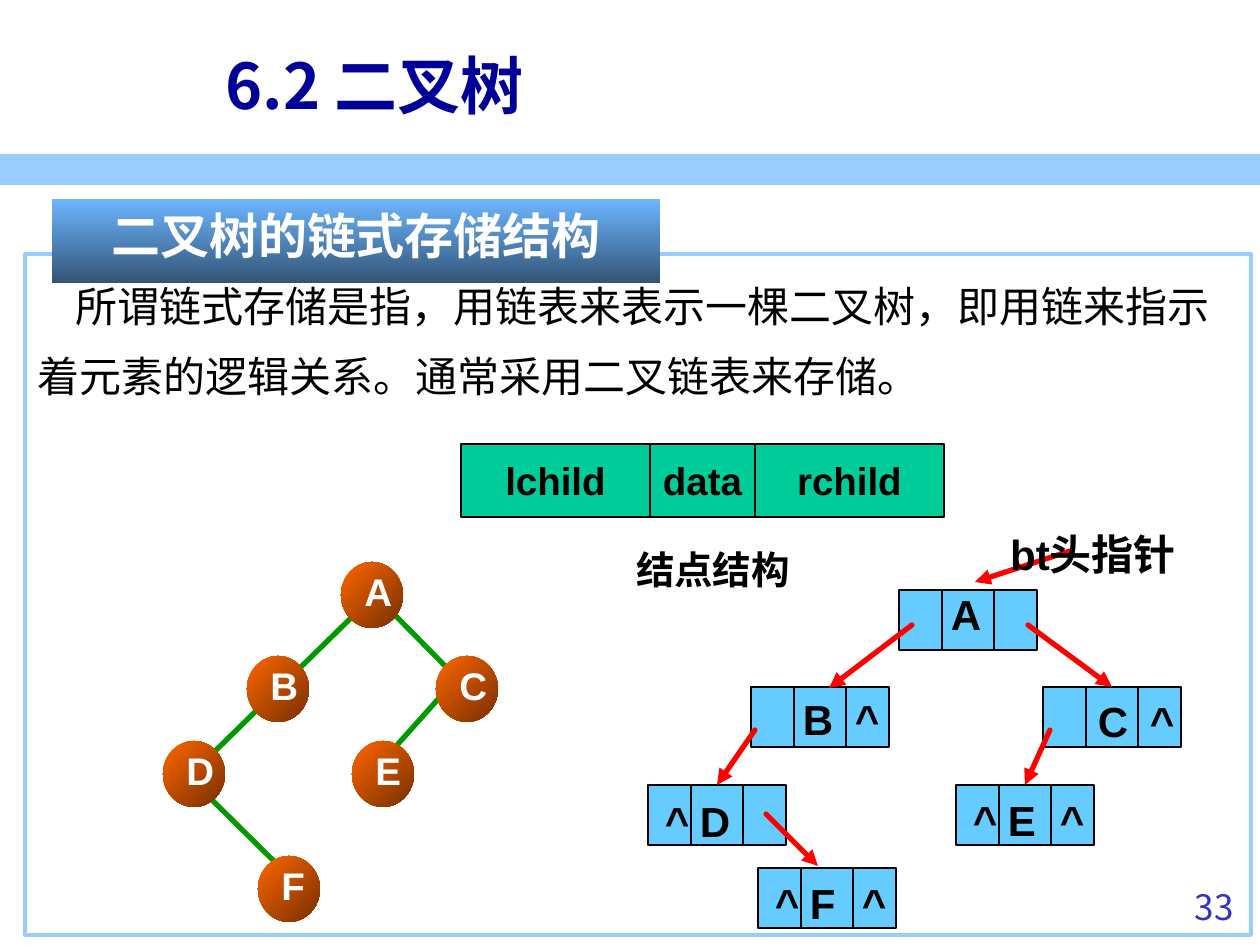
from dataclasses import dataclass

from lxml import etree
from pptx import Presentation
from pptx import util as u
from pptx.dml.color import RGBColor
from pptx.enum import shapes, text
from pptx.oxml import ns

LEFT, CENTER, RIGHT = text.PP_ALIGN.LEFT, text.PP_ALIGN.CENTER, text.PP_ALIGN.RIGHT
TOP, MIDDLE = text.MSO_ANCHOR.TOP, text.MSO_ANCHOR.MIDDLE
RECT, OVAL = shapes.MSO_SHAPE.RECTANGLE, shapes.MSO_SHAPE.OVAL


@dataclass(frozen=True)
class Theme:
    """Colours, fonts and type sizes of the slide."""
    latin: str = "Arial"
    cjk: str = "Noto Sans CJK SC"
    title: str = "000099"
    number: str = "3333CC"
    band: str = "99CCFF"
    ink: str = "000000"
    light: str = "FFFFFF"
    cell: str = "66CCFF"
    field: str = "00CC99"
    arrow: str = "FF0000"
    edge: str = "009900"
    banner: tuple = ("6DB6FF", "325476")
    ball: tuple = ("FF6600", "762F00")
    title_pt: int = 36
    banner_pt: int = 28
    body_pt: int = 24
    label_pt: int = 22
    number_pt: int = 20


T = Theme()


def px(n):
    """Turn pixels into EMU."""
    return u.Emu(round(n * 914400 / 126))


def sub(parent, tag, **attrs):
    """Append a DrawingML element to a parent."""
    return etree.SubElement(parent, ns.qn(tag), attrs)


def write(sp, words, size, color=T.ink, font=T.latin, bold=True, align=LEFT,
          anchor=TOP, wrap=True):
    """Put one formatted paragraph into a shape and return the paragraph."""
    tf = sp.text_frame
    tf.text = words
    tf.word_wrap = wrap
    tf.vertical_anchor = anchor
    p = tf.paragraphs[0]
    p.alignment = align
    for r in p.runs:
        r.font.size, r.font.bold, r.font.name = u.Pt(size), bold, font
        r.font.color.rgb = RGBColor.from_string(color)
        sub(r.font._element, "a:ea", typeface=T.cjk)
    return p


def label(s, box, words, size, **style):
    """Add a text box and return it with its paragraph."""
    sp = s.shapes.add_textbox(*map(px, box))
    return sp, write(sp, words, size, **style)


def block(s, box, fill=None, line=None, width=1, kind=RECT, angle=0):
    """Add a preset shape with a plain, gradient or empty fill."""
    sp = s.shapes.add_shape(kind, *map(px, box))
    sp.shadow.inherit = False
    if fill is None:
        sp.fill.background()
    elif isinstance(fill, tuple):
        sp.fill.gradient()
        sp.fill.gradient_angle = angle
        for stop, color in zip(sp.fill.gradient_stops, fill):
            stop.color.rgb = RGBColor.from_string(color)
    else:
        sp.fill.solid()
        sp.fill.fore_color.rgb = RGBColor.from_string(fill)
    if line:
        sp.line.color.rgb = RGBColor.from_string(line)
        sp.line.width = u.Pt(width)
    else:
        sp.line.fill.background()
    return sp


def link(s, x, y, start, end, color, width, head=False):
    """Draw a straight connector between points given relative to x, y."""
    ends = (x + start[0], y + start[1], x + end[0], y + end[1])
    cx = s.shapes.add_connector(shapes.MSO_CONNECTOR.STRAIGHT, *map(px, ends))
    cx.line.color.rgb = RGBColor.from_string(color)
    cx.line.width = u.Pt(width)
    if head:
        ln = cx.line._get_or_add_ln()
        ln.set("cap", "rnd")
        sub(ln, "a:tailEnd", type="triangle")
    sub(cx._element.spPr, "a:effectLst")
    return cx


def header(s, x, y, w, h):
    """Place the slide title above its band."""
    block(s, (x, y + h - 31, w, 31), T.band)
    label(s, (x + 213, y + 26, 1032, 116), "6.2 二叉树", T.title_pt,
          color=T.title, font=T.cjk, anchor=MIDDLE)


def list_node(s, x, y, words, dx, dy):
    """Place one three-part list node and return its outline."""
    w, h = 138, 60
    sp = block(s, (x, y, w, h), T.cell, T.ink)
    for split in (43, 95):
        link(s, x, y, (split, 0), (split, h), T.ink, 1)
    tb, p = label(s, (x + dx, y + dy, 166, 63), words, T.body_pt)
    tb.text_frame.margin_left = px(25)
    tabs = sub(p._p.get_or_add_pPr(), "a:tabLst")
    for stop in (35, 87):
        sub(tabs, "a:tab", pos=str(px(stop)), algn="l")
    return sp


def linked_list(s, x, y):
    """Place the linked nodes, their pointers and the head pointer."""
    nodes = {
        "D": (0, 263, "^\tD", -8, 4), "A": (251, 68, "\tA", -8, -8),
        "B": (103, 165, "\tB\t^", -8, 0), "C": (395, 165, "\tC\t^", -5, 2),
        "E": (308, 263, "^\tE\t^", -8, 3), "F": (110, 346, "^\tF\t^", -8, 3),
    }
    drawn = {k: list_node(s, x + nx, y + ny, *rest)
             for k, (nx, ny, *rest) in nodes.items()}
    pointers = [
        ((264, 103), (181, 166), None), ((380, 103), (464, 165), "C"),
        ((107, 208), (69, 263), "D"), ((402, 208), (377, 263), "E"),
        ((118, 292), (170, 344), None), ((422, 29), (327, 60), None),
    ]
    for start, end, target in pointers:
        cx = link(s, x, y, start, end, T.arrow, 3, head=True)
        if target:
            cx.end_connect(drawn[target], 0)
    label(s, (x + 345, y, 200, 63), "bt头指针", T.body_pt, align=CENTER, wrap=False)


def node_layout(s, x, y, h):
    """Place the three fields of a node and their caption."""
    left = x
    for words, w in (("lchild", 189), ("data", 105), ("rchild", 189)):
        sp = block(s, (left, y, w, h), T.field, T.ink, 0.75)
        write(sp, words, T.label_pt, align=CENTER, anchor=MIDDLE, wrap=False)
        left += w
    label(s, (x + 84, y + 94, 336, 63), "结点结构", T.label_pt,
          align=CENTER, anchor=MIDDLE, wrap=False)


def tree(s, x, y):
    """Place the binary tree with its edges behind its nodes."""
    edges = [((42, 231), (127, 315)), ((294, 116), (210, 210)),
             ((221, 42), (294, 116)), ((191, 53), (42, 199))]
    for start, end in edges:
        link(s, x, y, start, end, T.edge, 3)
    nodes = {"B": (84, 94), "A": (178, 0), "D": (0, 179),
             "C": (273, 94), "E": (189, 179), "F": (95, 294)}
    for name, (nx, ny) in nodes.items():
        block(s, (x + nx, y + ny, 62, 66), T.ball, kind=OVAL, angle=315)
        label(s, (x + nx + 11, y + ny, 53, 59), name, T.label_pt,
              color=T.light, wrap=False)


def body(s, x, y, w, h):
    """Place the framed explanation and the banner on its top edge."""
    sp = block(s, (x, y, w, h), line=T.band, width=2.25)
    p = write(sp, "所谓链式存储是指，用链表来表示一棵二叉树，即用链来指示着元素的逻辑关系。"
              "通常采用二叉链表来存储。", T.body_pt, font=T.cjk, bold=False)
    p.line_spacing = 1.4
    p._p.get_or_add_pPr().set("indent", str(px(38)))
    banner = block(s, (x + 27, y - 55, 608, 84), T.banner, angle=270)
    write(banner, "二叉树的链式存储结构", T.banner_pt, color=T.light,
          font=T.cjk, align=CENTER)


def main():
    """Build and save the slide."""
    prs = Presentation()
    prs.slide_width, prs.slide_height = px(1260), px(945)
    s = prs.slides.add_slide(prs.slide_layouts[6])
    header(s, 0, 0, 1260, 185)
    label(s, (1126, 879, 120, 66), "33", T.number_pt, color=T.number,
          font=T.cjk, bold=False, align=RIGHT)
    linked_list(s, 648, 522)
    node_layout(s, 461, 444, 73)
    tree(s, 163, 562)
    body(s, 25, 254, 1226, 681)
    prs.save("out.pptx")


if __name__ == "__main__":
    main()
